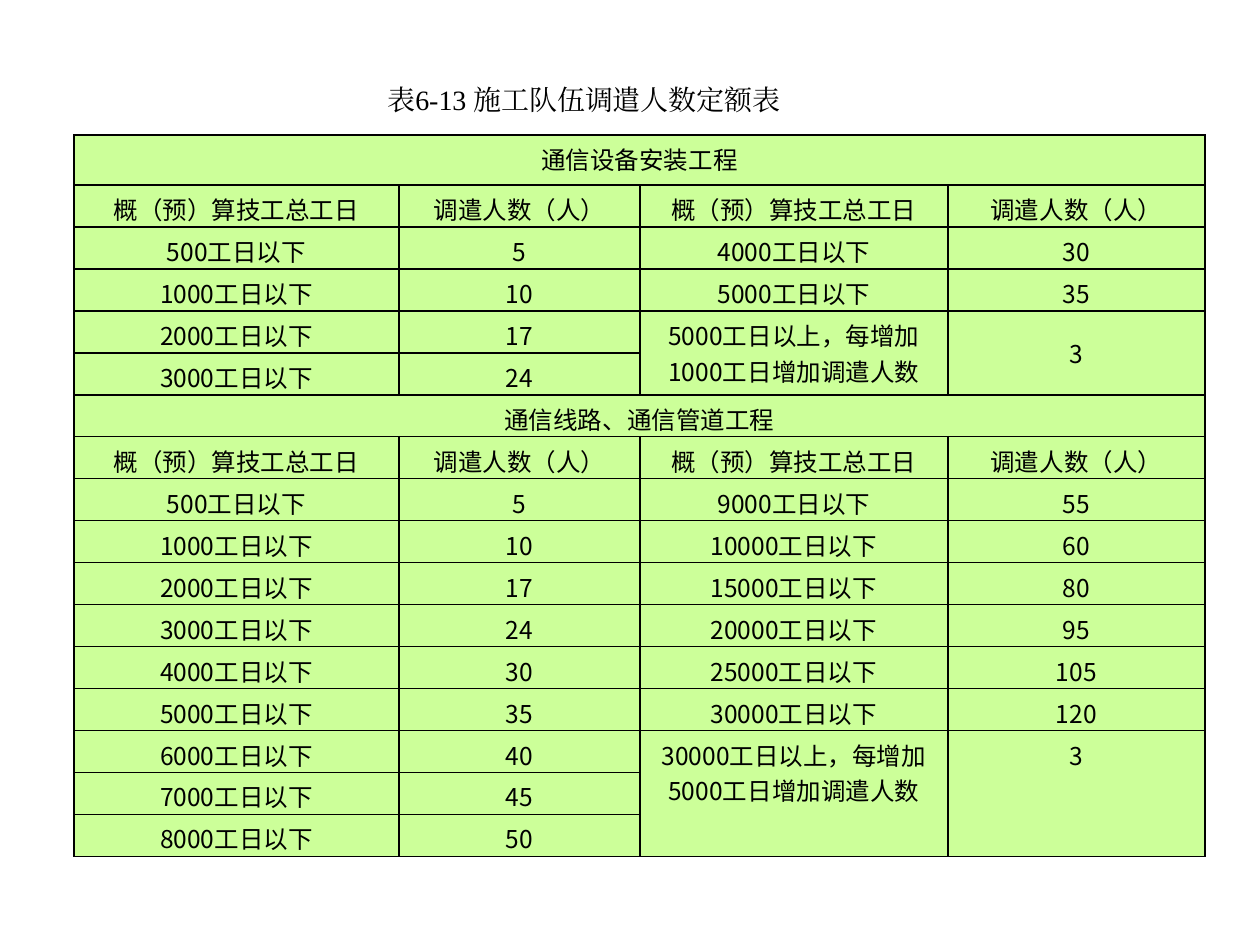
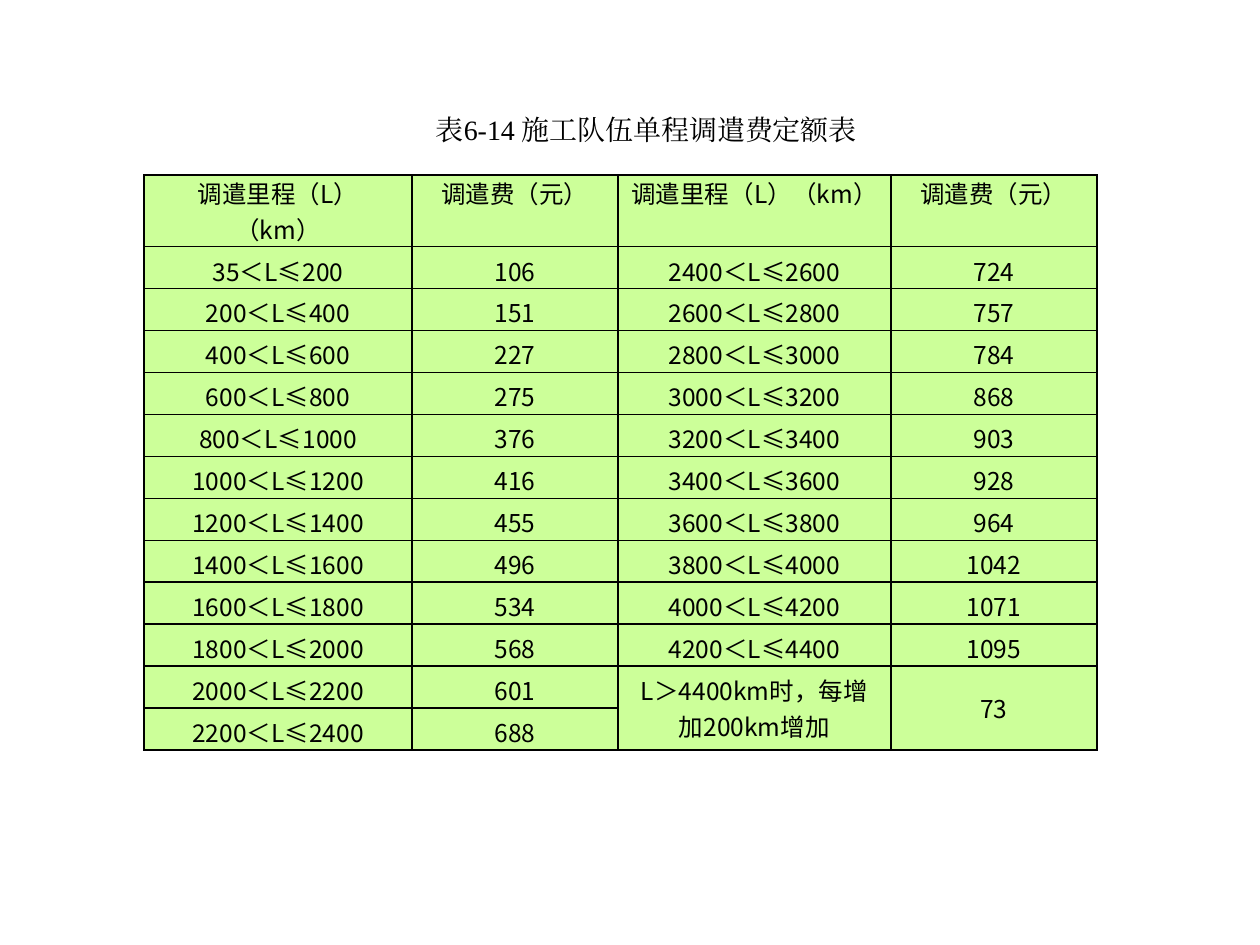
import pptx
import pptx.dml.color
import pptx.enum.text
import pptx.util
from pptx.oxml.xmlchemy import OxmlElement

PX_PER_INCH = 126
BLACK = "000000"
LIME = "CCFF99"
TABLE_FONT = "Noto Sans CJK SC"
TITLE_FONT = "Times New Roman"
ANCHOR = pptx.enum.text.MSO_ANCHOR
ROW_HEIGHT = 42

STAFF_HEADER = ["概（预）算技工总工日", "调遣人数（人）"] * 2
EQUIPMENT_STAFF = [
    (500, 5, 4000, 30),
    (1000, 10, 5000, 35),
    (2000, 17, "5000工日以上，每增加1000工日增加调遣人数", 3),
    (3000, 24, None, None),
]
LINE_STAFF = [
    (500, 5, 9000, 55),
    (1000, 10, 10000, 60),
    (2000, 17, 15000, 80),
    (3000, 24, 20000, 95),
    (4000, 30, 25000, 105),
    (5000, 35, 30000, 120),
    (6000, 40, "30000工日以上，每增加5000工日增加调遣人数", 3),
    (7000, 45, None, None),
    (8000, 50, None, None),
]
FEE_HEADER = ["调遣里程（L）（km）", "调遣费（元）"] * 2
NEAR_FEES = [106, 151, 227, 275, 376, 416, 455, 496, 534, 568, 601, 688]
FAR_FEES = [724, 757, 784, 868, 903, 928, 964, 1042, 1071, 1095]


def px(length):
    """Turn pixels into EMU."""
    return pptx.util.Emu(round(length * 914400 / PX_PER_INCH))


def color(code):
    """Turn a hex string into a colour."""
    return pptx.dml.color.RGBColor.from_string(code)


def write(frame, text, font, size):
    """Write one centred black run into a text frame."""
    para = frame.paragraphs[0]
    para.alignment = pptx.enum.text.PP_ALIGN.CENTER
    span = para.add_run()
    span.text = text
    span.font.size = pptx.util.Pt(size)
    span.font.name = font
    span.font.color.rgb = color(BLACK)
    east_asian = OxmlElement("a:ea")
    east_asian.set("typeface", font)
    span.font._element.append(east_asian)


def add_titled_page(deck, title, left, top, width):
    """Add a title-only page with its table caption."""
    page = deck.slides.add_slide(deck.slide_layouts[5])
    box = page.shapes.title
    box.left, box.top, box.width, box.height = px(left), px(top), px(width), px(46)
    frame = box.text_frame
    frame.word_wrap = True
    frame.auto_size = pptx.enum.text.MSO_AUTO_SIZE.NONE
    frame.vertical_anchor = ANCHOR.MIDDLE
    write(frame, title, TITLE_FONT, 16)
    return page


def add_borders(cell):
    """Draw black one-point lines on all sides of a cell."""
    properties = cell._tc.get_or_add_tcPr()
    for index, side in enumerate(("a:lnL", "a:lnR", "a:lnT", "a:lnB")):
        line = OxmlElement(side)
        line.set("w", str(pptx.util.Pt(1)))
        fill = OxmlElement("a:solidFill")
        tint = OxmlElement("a:srgbClr")
        tint.set("val", BLACK)
        fill.append(tint)
        line.append(fill)
        properties.insert(index, line)


def add_quota_table(page, left, top, widths, first_height, rows):
    """Add a lime grid table from rows of text."""
    heights = [first_height] + [ROW_HEIGHT] * (len(rows) - 1)
    table = page.shapes.add_table(
        len(rows), len(widths), px(left), px(top), px(sum(widths)), px(sum(heights))
    ).table
    table.first_row = table.horz_banding = False
    for column, width in zip(table.columns, widths):
        column.width = px(width)
    for row, height, texts in zip(table.rows, heights, rows):
        row.height = px(height)
        for cell, text in zip(row.cells, texts):
            cell.fill.solid()
            cell.fill.fore_color.rgb = color(LIME)
            cell.margin_top, cell.margin_bottom = px(6), 0
            add_borders(cell)
            if text is not None:
                write(cell.text_frame, str(text), TABLE_FONT, 14)
    return table


def merge_down(table, first_row, last_row):
    """Merge the two right-hand columns downwards and return their cells."""
    merged = [table.cell(first_row, column) for column in (2, 3)]
    for column, cell in zip((2, 3), merged):
        cell.merge(table.cell(last_row, column))
    return merged


def center(cells):
    """Centre cells vertically without margins."""
    for cell in cells:
        cell.vertical_anchor = ANCHOR.MIDDLE
        cell.margin_top = 0


def staff_section(heading, quotas):
    """Return a heading, the column names and the staff quotas."""
    def days(value):
        return f"{value}工日以下" if isinstance(value, int) else value

    body = [(days(near), staff, days(far), more) for near, staff, far, more in quotas]
    return [(heading, None, None, None), STAFF_HEADER] + body


def fee_rows():
    """Return the fee rows, in distance steps of 200 km."""
    rows = [FEE_HEADER]
    for index, fee in enumerate(NEAR_FEES):
        start, end = 200 * index or 35, 200 * (index + 1)
        row = [f"{start}＜L≤{end}", fee, None, None]
        if index < len(FAR_FEES):
            far = 2400 + 200 * index
            row[2:] = [f"{far}＜L≤{far + 200}", FAR_FEES[index]]
        elif index == len(FAR_FEES):
            row[2:] = ["L＞4400km时，每增加200km增加", 73]
        rows.append(row)
    return rows


def build_staff_page(deck):
    """Build the page of staff quotas."""
    page = add_titled_page(deck, "表6-13 施工队伍调遣人数定额表", 374, 76, 420)
    equipment = staff_section("通信设备安装工程", EQUIPMENT_STAFF)
    lines = staff_section("通信线路、通信管道工程", LINE_STAFF)
    table = add_quota_table(
        page, 74, 135, [325, 241, 308, 257], 50, equipment + lines
    )
    for heading_row in (0, len(equipment)):
        table.cell(heading_row, 0).merge(table.cell(heading_row, 3))
    center(merge_down(table, 4, 5))
    merge_down(table, 14, 16)


def build_fee_page(deck):
    """Build the page of one-way transfer fees."""
    page = add_titled_page(deck, "表6-14 施工队伍单程调遣费定额表", 423, 106, 447)
    table = add_quota_table(page, 144, 175, [268, 206, 273, 206], 71, fee_rows())
    for cell in table.rows[0].cells:
        cell.margin_top = 0
    center(merge_down(table, 11, 12))


def main():
    """Build and save the deck."""
    deck = pptx.Presentation()
    deck.slide_width, deck.slide_height = px(1260), px(945)
    build_staff_page(deck)
    build_fee_page(deck)
    deck.save("out.pptx")


if __name__ == "__main__":
    main()
